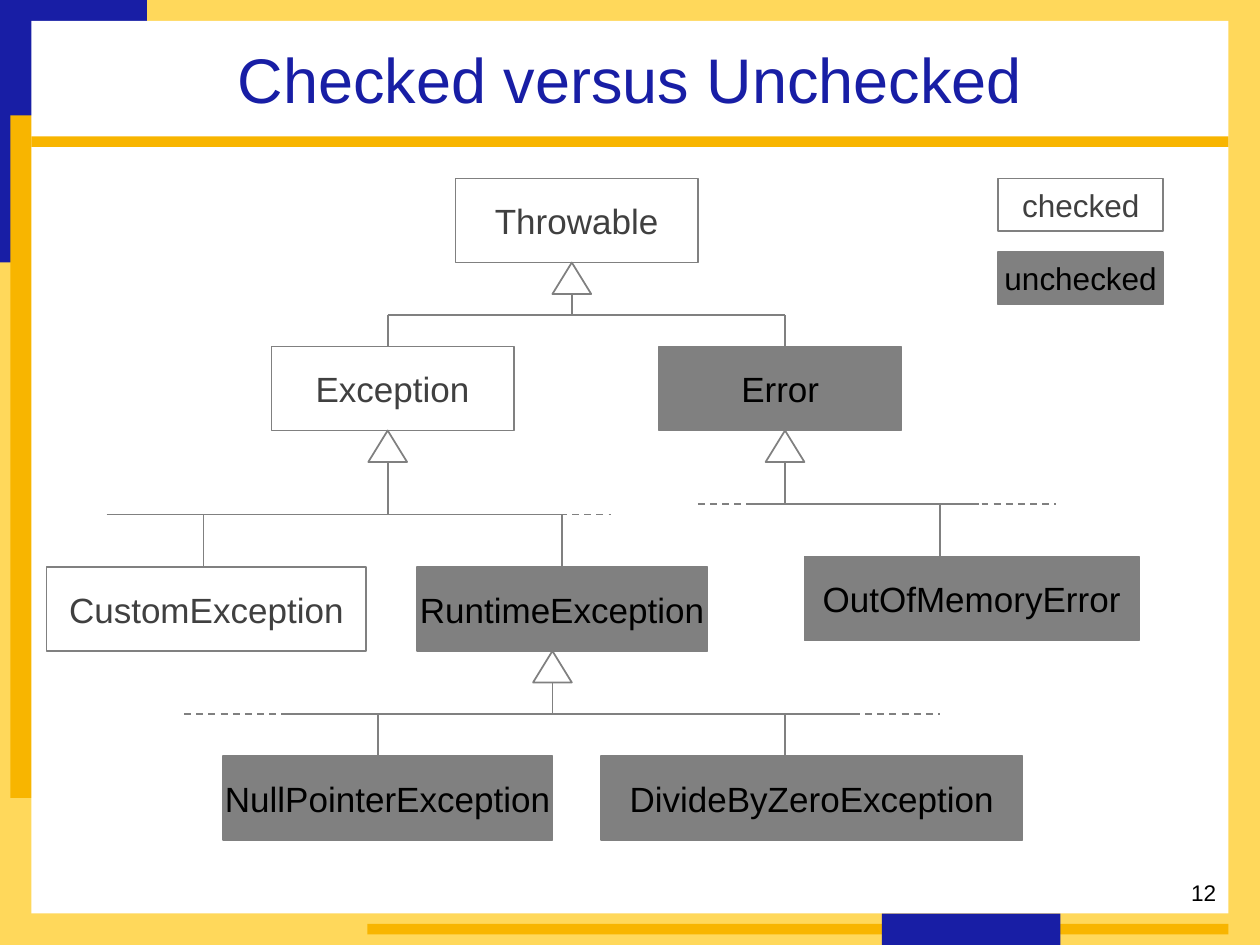
from pptx import Presentation
from pptx.dml.color import RGBColor
from pptx.enum.dml import MSO_LINE
from pptx.enum.shapes import MSO_CONNECTOR, MSO_SHAPE
from pptx.enum.text import MSO_ANCHOR, PP_ALIGN
from pptx.oxml.ns import qn
from pptx.util import Inches, Pt
from lxml.etree import SubElement

NAVY, GOLD, SAND, WHITE = "181EA5", "F8B500", "FFD85B", "FFFFFF"
GRAY, DARK, BLACK = "808080", "404040", "000000"

prs = Presentation()
prs.slide_width, prs.slide_height = Inches(10), Inches(7.5)
slide = prs.slides.add_slide(prs.slide_layouts[6])
shapes = slide.shapes

# The slide is 130 columns wide and 90 rows high
COL, ROW = prs.slide_width / 130, prs.slide_height / 90
TWELFTH = Inches(1) / 12


def rgb(value):
    return RGBColor.from_string(value)


def write(shape, text, size, color, align=PP_ALIGN.CENTER, wrap=True):
    frame = shape.text_frame
    frame.word_wrap = wrap
    frame.vertical_anchor = MSO_ANCHOR.MIDDLE
    paragraph = frame.paragraphs[0]
    paragraph.alignment = align
    run = paragraph.add_run()
    run.text = text
    for key, value in {"name": "Arial", "size": Pt(size)}.items():
        setattr(run.font, key, value)
    run.font.color.rgb = rgb(color)


# Coloured frame, in twelfths of an inch: left, top, width, height
for *area, color in [
    (0, 0, 120, 90, SAND),
    (0, 0, 14, 25, NAVY),
    (1, 11, 5, 65, GOLD),
    (3, 2, 114, 85, WHITE),
    (35, 88, 82, 1, GOLD),
    (3, 13, 114, 1, GOLD),
    (84, 87, 17, 3, NAVY),
]:
    band = shapes.add_shape(MSO_SHAPE.RECTANGLE, *(round(n * TWELFTH) for n in area))
    band.shadow.inherit = False
    band.fill.solid()
    band.fill.fore_color.rgb = rgb(color)
    band.line.fill.background()

# Title and page number, on the same twelfths
for *area, text, size, color, align in [
    (92, 83, 25, 4, "12", 12.9, BLACK, PP_ALIGN.RIGHT),
    (3, 2, 114, 11, "Checked versus Unchecked", 36, NAVY, PP_ALIGN.CENTER),
]:
    box = shapes.add_textbox(*(round(n * TWELFTH) for n in area))
    write(box, text, size, color, align)

# Classes and legend: name, left, top, width, height, size, unchecked
for name, left, top, width, height, size, unchecked in [
    ("Throwable", 47, 17, 25, 8, 20, False),
    ("Exception", 28, 33, 25, 8, 20, False),
    ("Error", 68, 33, 25, 8, 20, True),
    ("CustomException", 4.8, 54, 33, 8, 20, False),
    ("RuntimeException", 43, 54, 30, 8, 20, True),
    ("NullPointerException", 23, 72, 34, 8, 20, True),
    ("DivideByZeroException", 62, 72, 43.5, 8, 20, True),
    ("OutOfMemoryError", 83, 53, 34.5, 8, 20, True),
    ("checked", 103, 17, 17, 5, 18, False),
    ("unchecked", 103, 24, 17, 5, 18, True),
]:
    node = shapes.add_shape(
        MSO_SHAPE.RECTANGLE, round(left * COL), round(top * ROW),
        round(width * COL), round(height * ROW))
    node.shadow.inherit = False
    if unchecked:
        node.fill.solid()
        node.fill.fore_color.rgb = rgb(GRAY)
    else:
        node.fill.background()
    node.line.color.rgb = rgb(GRAY)
    node.line.width = Pt(1)
    write(node, name, size, BLACK if unchecked else DARK, wrap=False)

# Inheritance: parent column, parent bottom, bar row, bar ends,
# child columns, child top, starts of the dashed continuations
ARROW_W, ARROW_H, DASH_W = 4, 3, 14
links = []
for parent, bottom, bar, ends, children, child_top, dashes in [
    (59, 25, 30, (40, 81), (40, 81), 33, ()),
    (40, 41, 49, (11, 58), (21, 58), 54, (49,)),
    (81, 41, 48, (77, 101), (97,), 53, (72, 95)),
    (57, 62, 68, (29, 88), (39, 81), 72, (19, 83)),
]:
    arrow = shapes.add_shape(
        MSO_SHAPE.ISOSCELES_TRIANGLE, round((parent - ARROW_W / 2) * COL),
        round(bottom * ROW), round(ARROW_W * COL), round(ARROW_H * ROW))
    arrow.shadow.inherit = False
    arrow.fill.background()
    arrow.line.color.rgb = rgb(GRAY)
    arrow.line.width = Pt(1)
    links.append((parent, bottom + ARROW_H, parent, bar, False))
    links.append((ends[0], bar, ends[1], bar, False))
    links += [(child, bar, child, child_top, False) for child in children]
    links += [(start, bar, start + DASH_W, bar, True) for start in dashes]

for x1, y1, x2, y2, dashed in links:
    link = shapes.add_connector(
        MSO_CONNECTOR.STRAIGHT, round(x1 * COL), round(y1 * ROW),
        round(x2 * COL), round(y2 * ROW))
    link.line.color.rgb = rgb(GRAY)
    link.line.width = Pt(1)
    if dashed:
        link.line.dash_style = MSO_LINE.DASH
    SubElement(link._element.spPr, qn("a:effectLst"))

prs.save("out.pptx")
